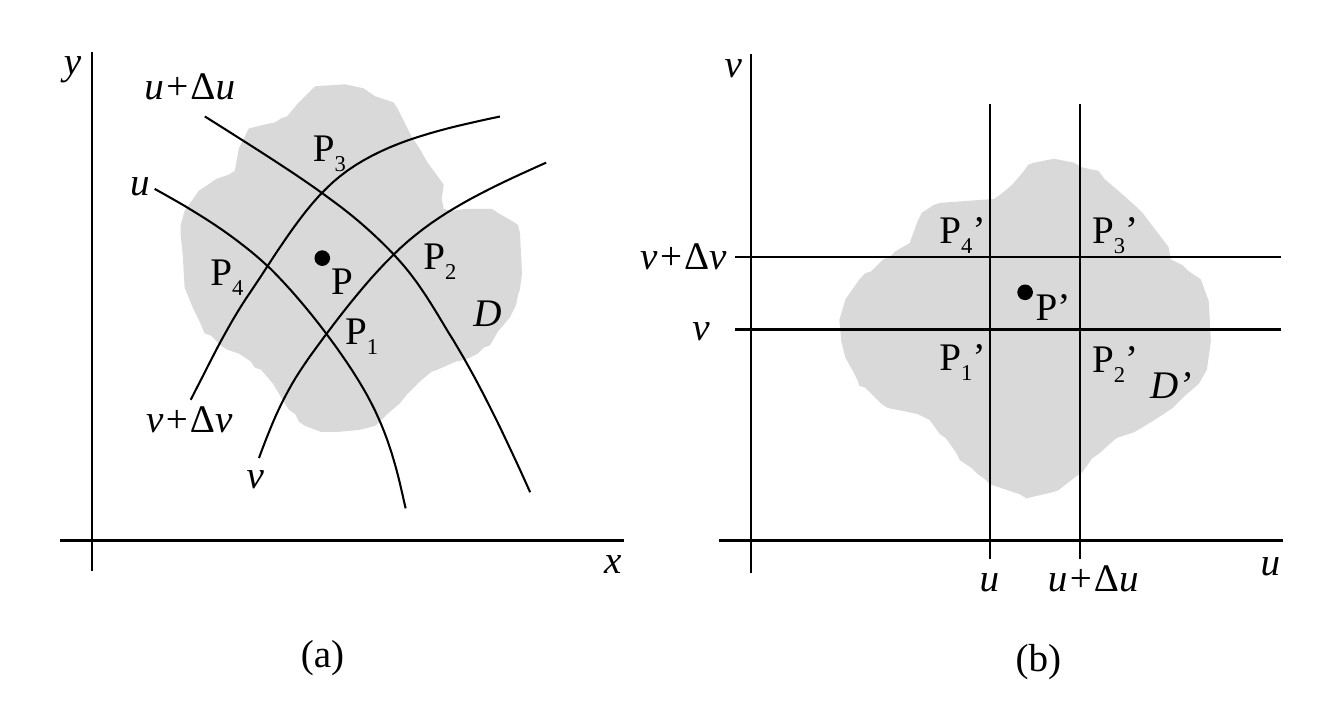
from pptx import Presentation, util as u
from pptx.dml.color import RGBColor
from pptx.enum import shapes, text
from pptx.oxml.ns import qn
from lxml import etree

PX = 9144
INK, GREY = "000000", "D9D9D9"


def color(code):
    return RGBColor.from_string(code)


def bezier(ends, steps=16):
    curve = [ends[0]]
    for i in range(0, len(ends) - 1, 3):
        a, b, c, d = ends[i:i + 4]
        for k in range(1, steps + 1):
            t = k / steps
            s = 1 - t
            curve.append(tuple(
                s**3 * p + 3 * s * s * t * q + 3 * s * t * t * r + t**3 * z
                for p, q, r, z in zip(a, b, c, d)))
    return curve


def delta(name):
    return [(name + "+", "i"), ("Δ", ""), (name, "i")]


def corner(num, prime=""):
    runs = [("P", ""), (num, "sub")]
    return runs + [(prime, "")] if prime else runs


class Figure:
    font, size, width = "Times New Roman", u.Pt(14), u.Pt(0.75)

    def __init__(self, slide):
        self.shapes = slide.shapes

    def line(self, x1, y1, x2, y2):
        rule = self.shapes.add_connector(
            shapes.MSO_CONNECTOR.STRAIGHT, x1 * PX, y1 * PX, x2 * PX, y2 * PX)
        rule.line.color.rgb = color(INK)
        rule.line.width = self.width
        etree.SubElement(rule._element.spPr, qn("a:effectLst"))

    def outline(self, points, closed):
        dots = [(x * PX, y * PX) for x, y in points]
        pen = self.shapes.build_freeform(*dots[0], scale=1.0)
        pen.add_line_segments(dots[1:], close=closed)
        form = pen.convert_to_shape()
        form.shadow.inherit = False
        return form

    def region(self, points):
        form = self.outline(points, True)
        form.fill.solid()
        form.fill.fore_color.rgb = color(GREY)
        form.line.fill.background()

    def curve(self, ends):
        form = self.outline(bezier(ends), False)
        form.fill.background()
        form.line.color.rgb = color(INK)
        form.line.width = self.width

    def dot(self, x, y):
        mark = self.shapes.add_shape(
            shapes.MSO_SHAPE.OVAL, x * PX, y * PX, 5 * PX, 5 * PX)
        mark.shadow.inherit = False
        mark.fill.solid()
        mark.fill.fore_color.rgb = color(INK)
        mark.line.color.rgb = color(INK)
        mark.line.width = u.Pt(2)

    def label(self, x, y, w, runs):
        high = 37 if any(style == "sub" for _, style in runs) else 34
        box = self.shapes.add_textbox(x * PX, y * PX, w * PX, high * PX)
        frame = box.text_frame
        frame.word_wrap = True
        frame.margin_right = 0
        frame.auto_size = text.MSO_AUTO_SIZE.NONE
        for words, style in runs:
            run = frame.paragraphs[0].add_run()
            run.text = words
            run.font.name = self.font
            run.font.size = self.size
            run.font.color.rgb = color(INK)
            run.font.italic = style == "i"
            if style == "sub":
                run.font._element.set("baseline", "-25000")


REGION_A = [
    (221, 92), (216, 85), (213, 81), (209, 74), (205, 68), (203, 64),
    (198, 54), (196, 51), (187, 48), (184, 46), (181, 44), (172, 42),
    (157, 43), (151, 49), (148, 52), (143, 58), (140, 59), (137, 61),
    (132, 62), (124, 64), (119, 74), (117, 85), (114, 87), (108, 89),
    (105, 91), (99, 95), (97, 98), (92, 105), (90, 112), (90, 117),
    (91, 126), (92, 143), (96, 153), (99, 159), (102, 166), (105, 167),
    (110, 172), (113, 174), (119, 176), (125, 180), (127, 183), (130, 184),
    (136, 191), (142, 201), (144, 204), (147, 206), (149, 210), (152, 212),
    (160, 215), (168, 215), (179, 214), (187, 212), (193, 206), (199, 201),
    (203, 196), (209, 190), (215, 185), (218, 184), (227, 180), (232, 179),
    (238, 176), (241, 173), (244, 172), (248, 165), (254, 158), (257, 152),
    (258, 147), (259, 144), (260, 136), (259, 116), (258, 112), (255, 110),
    (248, 106), (245, 104), (232, 104), (225, 105), (221, 104), (220, 99)]

REGION_B = [
    (582, 123), (569, 106), (566, 103), (557, 95), (550, 89), (547, 85),
    (542, 84), (538, 83), (535, 81), (525, 79), (515, 81), (512, 82),
    (510, 85), (504, 92), (498, 97), (495, 99), (468, 101), (465, 102),
    (459, 106), (457, 110), (453, 121), (446, 125), (443, 128), (440, 129),
    (434, 135), (431, 136), (428, 139), (421, 149), (419, 156), (418, 159),
    (419, 170), (421, 178), (425, 185), (427, 189), (428, 192), (431, 193),
    (434, 196), (439, 201), (442, 203), (457, 206), (463, 209), (468, 216),
    (471, 218), (476, 225), (478, 229), (484, 233), (487, 236), (490, 238),
    (493, 241), (505, 245), (508, 246), (511, 248), (524, 245), (527, 244),
    (536, 237), (539, 235), (544, 228), (547, 226), (556, 218), (562, 216),
    (565, 215), (575, 209), (584, 203), (590, 197), (597, 191), (601, 184),
    (603, 170), (602, 150), (598, 139), (592, 135), (589, 132), (583, 129)]

CURVES = [
    [(77, 94), (97, 105), (117, 117), (135, 134), (152, 151), (172, 177),
     (183, 197), (194, 217), (198, 235), (202, 253)],
    [(102, 58), (132, 77), (163, 96), (183, 114), (203, 132), (210, 143),
     (223, 165), (237, 187), (251, 216), (264, 245)],
    [(95, 199), (104, 182), (112, 164), (125, 145), (138, 126), (153, 99),
     (173, 85), (194, 70), (221, 64), (249, 58)],
    [(129, 228), (135, 212), (141, 196), (154, 178), (167, 160), (187, 133),
     (207, 117), (227, 101), (250, 91), (272, 81)]]

LINES = [
    (30, 269, 311, 269), (46, 26, 46, 284),
    (358, 269, 639, 269), (374, 27, 374, 285),
    *[(x, 52, x, 278) for x in (493, 538)],
    *[(366, y, 638, y) for y in (128, 164)]]

LABELS = [
    (22, 13, 28, [("y", "i")]), (291, 261, 28, [("x", "i")]),
    (162, 147, 36, corner("1")), (201, 110, 36, corner("2")),
    (146, 56, 36, corner("3")), (95, 118, 36, corner("4")),
    (226, 138, 34, [("D", "i")]), (155, 122, 31, [("P", "")]),
    (55, 73, 30, [("u", "i")]), (62, 25, 65, delta("u")),
    (113, 219, 28, [("v", "i")]), (63, 191, 63, delta("v")),
    (140, 308, 41, [("(a)", "")]),
    (351, 14, 28, [("v", "i")]), (618, 262, 30, [("u", "i")]),
    (458, 160, 43, corner("1", "’")), (534, 161, 43, corner("2", "’")),
    (534, 97, 43, corner("3", "’")), (458, 97, 43, corner("4", "’")),
    (563, 174, 40, [("D’", "i")]), (506, 135, 37, [("P’", "")]),
    (478, 270, 30, [("u", "i")]), (512, 270, 65, delta("u")),
    (335, 145, 28, [("v", "i")]), (309, 110, 63, delta("v")),
    (496, 310, 43, [("(b)", "")])]


def main():
    deck = Presentation()
    deck.slide_width = u.Cm(17)
    deck.slide_height = u.Cm(9)
    fig = Figure(deck.slides.add_slide(deck.slide_layouts[6]))
    for points in (REGION_A, REGION_B):
        fig.region(points)
    for ends in CURVES:
        fig.curve(ends)
    for ends in LINES:
        fig.line(*ends)
    for spot in ((158, 126), (508, 143)):
        fig.dot(*spot)
    for item in LABELS:
        fig.label(*item)
    deck.save("out.pptx")


if __name__ == "__main__":
    main()
